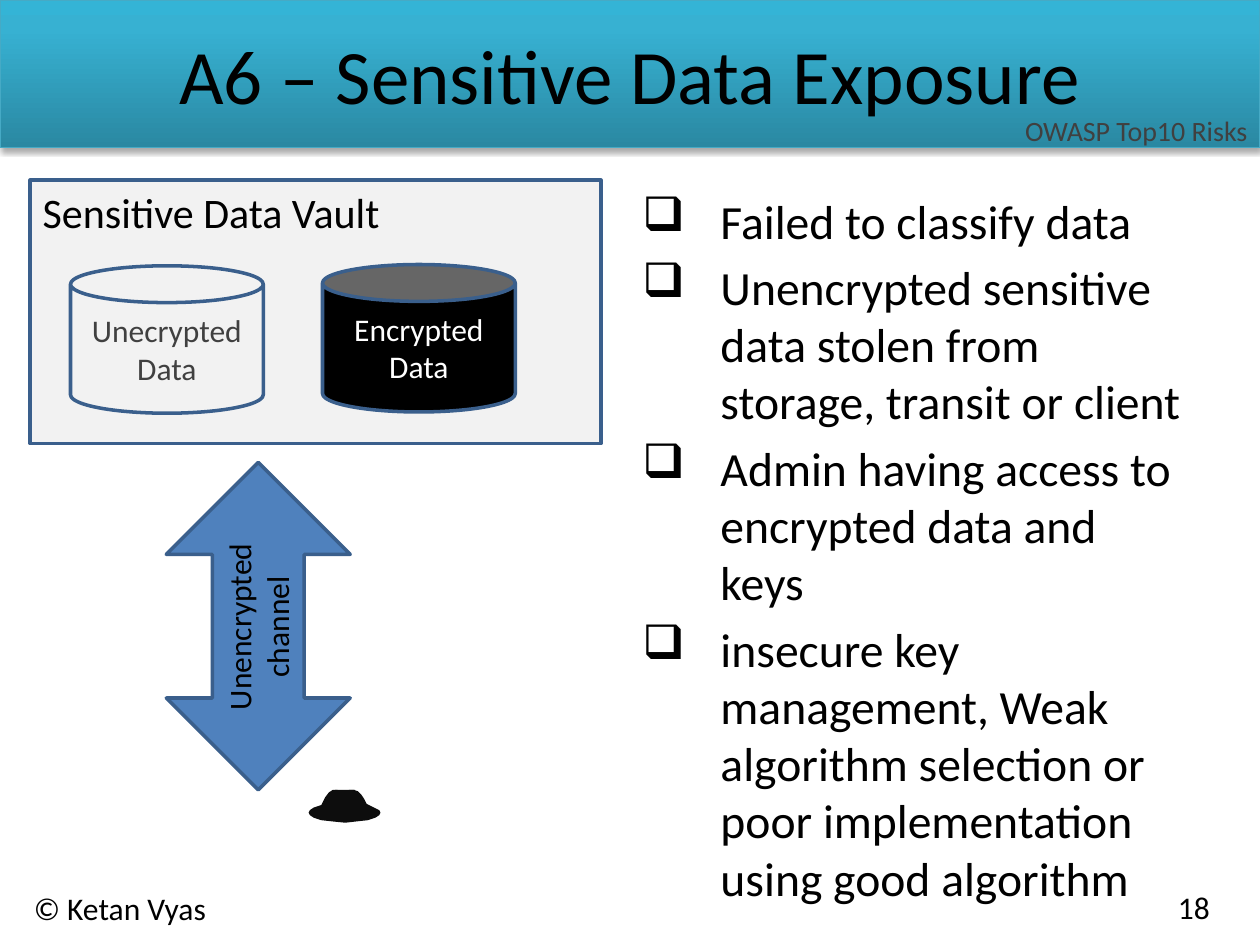
from lxml import etree
from copy import deepcopy
from pptx import Presentation
from pptx.dml.color import RGBColor
from pptx.enum.shapes import MSO_SHAPE
from pptx.enum.text import MSO_ANCHOR, PP_ALIGN
from pptx.oxml.ns import qn
from pptx.util import Inches, Pt

LEFT, CENTER, RIGHT = PP_ALIGN.LEFT, PP_ALIGN.CENTER, PP_ALIGN.RIGHT
TOP, MIDDLE = MSO_ANCHOR.TOP, MSO_ANCHOR.MIDDLE
RECTANGLE, CAN, ARROW = MSO_SHAPE.RECTANGLE, MSO_SHAPE.CAN, MSO_SHAPE.UP_DOWN_ARROW

BLACK = RGBColor(0x00, 0x00, 0x00)
WHITE = RGBColor(0xFF, 0xFF, 0xFF)
GRAY = RGBColor(0x40, 0x40, 0x40)
VAULT = RGBColor(0xF2, 0xF2, 0xF2)
BLUE = RGBColor(0x4F, 0x81, 0xBD)
OUTLINE = RGBColor(0x3A, 0x5F, 0x8C)
BANNER_LINE = RGBColor(0x46, 0xAA, 0xC5)
HAT = RGBColor(0x0D, 0x0D, 0x0D)
BANNER_STOPS = [
    (0, RGBColor(0x2A, 0x88, 0xA2)),
    (0.8, RGBColor(0x37, 0xB1, 0xD2)),
    (1, RGBColor(0x34, 0xB4, 0xD6)),
]

RISKS = [
    "Failed to classify data",
    "Unencrypted sensitive data stolen from storage, transit or client",
    "Admin having access to encrypted data and keys",
    "insecure key management, Weak algorithm selection or poor implementation using good algorithm",
]
STORES = [
    ("Unecrypted Data", (0.56, 2.11, 1.53, 1.17), None, GRAY),
    ("Encrypted Data", (2.56, 2.1, 1.53, 1.17), BLACK, WHITE),
]
LABELS = [
    ("A6 – Sensitive Data Exposure", (0.5, 0.17, 9, 0.83), 44, BLACK, CENTER, MIDDLE, 0),
    ("Sensitive Data Vault", (0.24, 1.43, 3.15, 0.5), 24, BLACK, LEFT, TOP, 0),
    ("Unencrypted\nchannel", (1.2, 4.62, 1.7, 0.71), 18, BLACK, CENTER, TOP, 270),
    ("OWASP Top10 Risks", (0, 0.85, 10, 0.37), 16, GRAY, RIGHT, TOP, 0),
    ("© Ketan Vyas", (0.17, 7.01, 2.75, 0.4), 18, BLACK, LEFT, TOP, 0),
    ("18", (9.25, 7, 0.67, 0.4), 18, BLACK, LEFT, TOP, 0),
]
ARROW_ADJUSTMENTS = (0.25, 0.5)
HAT_POINTS = [
    (2.91, 6.38), (2.89, 6.34), (2.87, 6.31), (2.84, 6.28), (2.81, 6.27), (2.77, 6.27),
    (2.73, 6.29), (2.68, 6.27), (2.64, 6.27), (2.61, 6.29), (2.58, 6.33), (2.55, 6.39),
    (2.49, 6.41), (2.46, 6.43), (2.45, 6.45), (2.46, 6.47), (2.49, 6.49), (2.55, 6.51),
    (2.64, 6.52), (2.74, 6.53), (2.83, 6.52), (2.92, 6.51), (2.98, 6.49), (3.01, 6.47),
    (3.02, 6.45), (3.01, 6.43), (2.97, 6.41),
]


def paint(shape, fill, line=None, width=2):
    shape.shadow.inherit = False
    if fill is None:
        shape.fill.background()
    else:
        shape.fill.solid()
        shape.fill.fore_color.rgb = fill
    if line is None:
        shape.line.fill.background()
    else:
        shape.line.color.rgb = line
        shape.line.width = Pt(width)


def add_box(shapes, kind, box, fill, line=None, width=2):
    shape = shapes.add_shape(kind, *map(Inches, box))
    paint(shape, fill, line, width)
    return shape


def write(shape, text, size, color, align=LEFT, anchor=TOP):
    frame = shape.text_frame
    frame.word_wrap = True
    frame.vertical_anchor = anchor
    frame.text = text
    for paragraph in frame.paragraphs:
        paragraph.alignment = align
        for run in paragraph.runs:
            run.font.name = "Calibri"
            run.font.size = Pt(size)
            run.font.color.rgb = color


def add_banner(shapes):
    banner = add_box(shapes, RECTANGLE, (0, 0, 10, 1.17), BLUE, BANNER_LINE, 0.75)
    banner.fill.gradient()
    banner.fill.gradient_angle = 90
    properties = banner._element.spPr
    stop_list = properties.find(qn("a:gradFill")).find(qn("a:gsLst"))
    stop_list.append(deepcopy(stop_list[-1]))
    for stop, (position, color) in zip(banner.fill.gradient_stops, BANNER_STOPS):
        stop.position = position
        stop.color.rgb = color
    effects = properties.find(qn("a:effectLst"))
    shadow = etree.SubElement(effects, qn("a:outerShdw"), blurRad=str(Pt(3.1)),
                              dist=str(Pt(1.8)), dir="5400000", rotWithShape="0")
    shadow_color = etree.SubElement(shadow, qn("a:srgbClr"), val="000000")
    etree.SubElement(shadow_color, qn("a:alpha"), val="35000")


def add_risks(shapes):
    body = shapes.add_textbox(*map(Inches, (5, 1.47, 4.5, 5.23)))
    write(body, "\n".join(RISKS), 27.2, BLACK)
    for index, paragraph in enumerate(body.text_frame.paragraphs):
        if index:
            paragraph.space_before = Pt(5.4)
        properties = paragraph._p.get_or_add_pPr()
        properties.set("marL", str(Inches(0.62)))
        properties.set("indent", str(Inches(-0.62)))
        etree.SubElement(properties, qn("a:buChar"), char="❑")


def add_hat(shapes):
    group = shapes.add_group_shape()
    points = [(Inches(x), Inches(y)) for x, y in HAT_POINTS]
    builder = group.shapes.build_freeform(*points[0])
    builder.add_line_segments(points[1:], close=True)
    paint(builder.convert_to_shape(), HAT)
    add_box(group.shapes, RECTANGLE, (2.66, 6.27, 0.16, 0.03), HAT)


def main():
    presentation = Presentation()
    presentation.slide_width = Inches(10)
    presentation.slide_height = Inches(7.5)
    shapes = presentation.slides.add_slide(presentation.slide_layouts[6]).shapes

    add_banner(shapes)
    add_box(shapes, RECTANGLE, (0.24, 1.43, 4.53, 2.09), VAULT, OUTLINE)
    for text, box, fill, color in STORES:
        store = add_box(shapes, CAN, box, fill, OUTLINE)
        write(store, text, 18, color, CENTER, MIDDLE)
    channel = add_box(shapes, ARROW, (1.32, 3.67, 1.46, 2.6), BLUE, OUTLINE)
    for index, value in enumerate(ARROW_ADJUSTMENTS):
        channel.adjustments[index] = value
    add_hat(shapes)
    add_risks(shapes)
    for text, box, size, color, align, anchor, rotation in LABELS:
        label = shapes.add_textbox(*map(Inches, box))
        label.rotation = rotation
        write(label, text, size, color, align, anchor)

    presentation.save("out.pptx")


if __name__ == "__main__":
    main()
